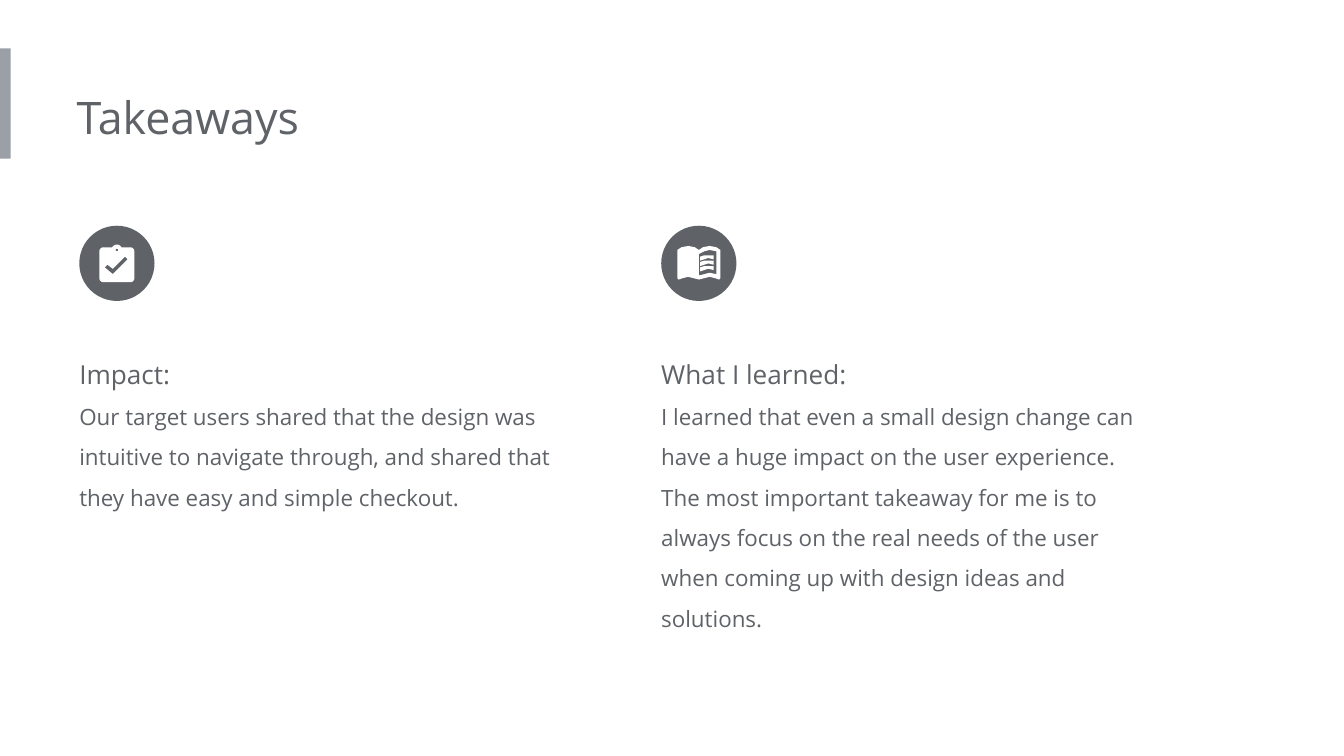
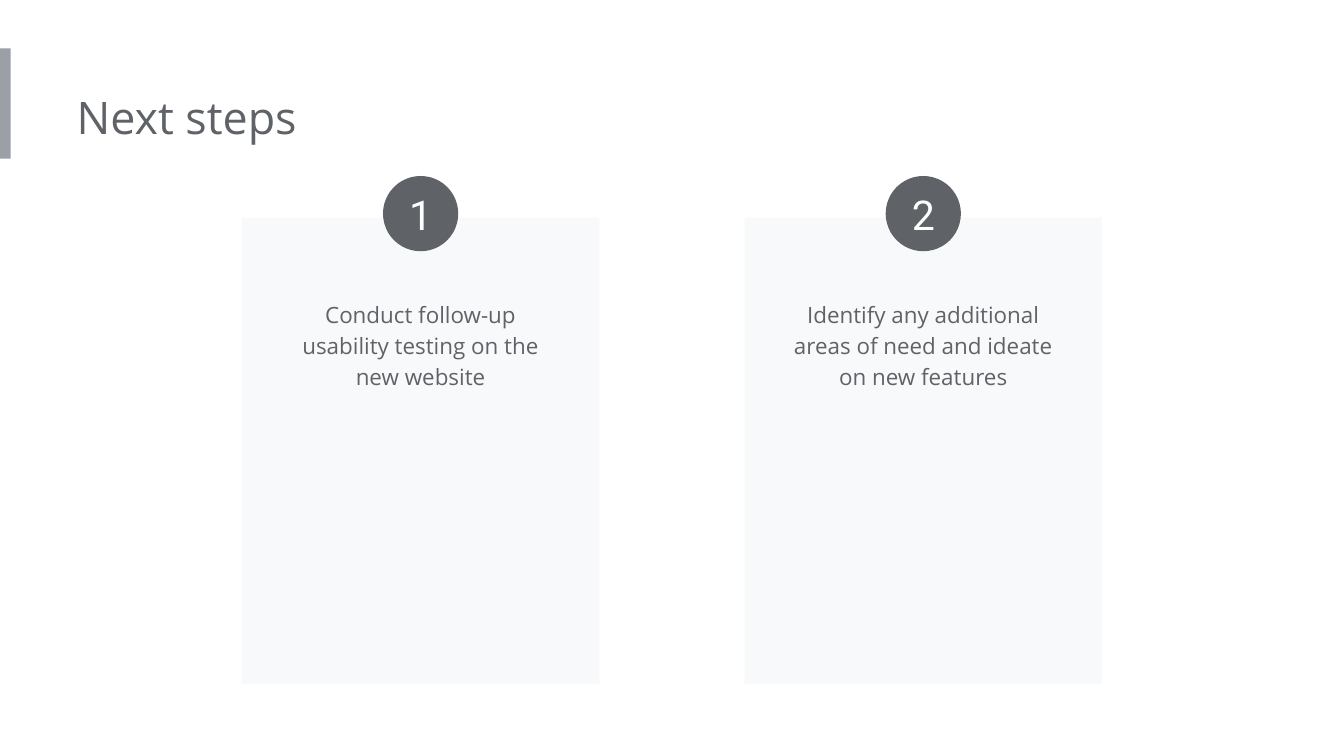
"""Build the takeaways and next steps slides."""
from dataclasses import dataclass
from math import cos, radians, sin

from pptx import Presentation
from pptx.dml.color import RGBColor
from pptx.enum.shapes import MSO_SHAPE
from pptx.enum.text import MSO_ANCHOR, MSO_AUTO_SIZE as AutoSize, PP_ALIGN
from pptx.shapes.autoshape import Shape
from pptx.shapes.shapetree import GroupShapes
from pptx.slide import Slide
from pptx.text.text import TextFrame, _Paragraph as Paragraph
from pptx.util import Inches, Pt

DARK_GRAY = RGBColor(0x5F, 0x63, 0x68)
BAR_GRAY = RGBColor(0x9A, 0xA0, 0xA6)
CARD_GRAY = RGBColor(0xF8, 0xF9, 0xFA)
WHITE = RGBColor(0xFF, 0xFF, 0xFF)
TEXT_FONT = "Open Sans"
NUMBER_FONT = "Roboto"
TITLE_ONLY = 5
SLIDE_WIDTH = Inches(10)
SLIDE_HEIGHT = SLIDE_WIDTH * 9 // 16
INSET = 0.1
CIRCLE_SIZE = 0.56

COLUMN_LEFT, COLUMN_PITCH, COLUMN_WIDTH = 0.59, 4.33, 3.77
ICON_TOP, COLUMN_TOP = 1.68, 2.45
CARD_LEFT, CARD_PITCH, CARD_WIDTH = 1.8, 3.74, 2.66
CARD_TOP, CARD_HEIGHT, CARD_TEXT_WIDTH = 1.62, 3.47, 2.24
NUMBER_TOP, CARD_TEXT_TOP = 1.31, 2.11

Point = tuple[float, float]
Contour = list[Point]


@dataclass(frozen=True)
class Takeaway:
    """A heading with its text and the height of their box."""
    heading: str
    body: str
    height: float


TAKEAWAYS = [
    Takeaway("Impact:", "Our target users shared that the design was intuitive to navigate "
             "through, and shared that they have easy and simple checkout.", 1.46),
    Takeaway("What I learned:", "I learned that even a small design change can have a huge impact "
             "on the user experience. The most important takeaway for me is to always focus on the "
             "real needs of the user when coming up with design ideas and solutions.", 2.27),
]
NEXT_STEPS = [
    "Conduct follow-up usability testing on the new website",
    "Identify any additional areas of need and ideate on new features",
]

BOOK_COVER = [
    (5.04, 1.86), (5.07, 1.84), (5.12, 1.83), (5.17, 1.84), (5.2, 1.86), (5.23, 1.84),
    (5.28, 1.83), (5.33, 1.84), (5.36, 1.86), (5.36, 2.07), (5.35, 2.08), (5.32, 2.07),
    (5.28, 2.06), (5.24, 2.07), (5.2, 2.08), (5.16, 2.07), (5.12, 2.06), (5.08, 2.07),
    (5.05, 2.08), (5.04, 2.07),
]
BOOK_PAGE = [
    (5.2, 1.89), (5.24, 1.87), (5.28, 1.86), (5.33, 1.87),
    (5.33, 2.04), (5.28, 2.03), (5.24, 2.04), (5.2, 2.05),
]
BOOK_LINE = [
    (5.21, 0.01), (5.24, 0), (5.31, 0), (5.31, 0.03), (5.27, 0.02), (5.21, 0.04),
]
BOOK_LINE_TOPS = [1.9, 1.94, 1.98]
CHECK_MARK = [(0.84, 2.04), (0.78, 1.99), (0.8, 1.97), (0.84, 2), (0.93, 1.91), (0.95, 1.93)]


def arc(x: float, y: float, radius: float, start: int, end: int) -> Contour:
    """Return points along a clockwise arc, with angles in degrees."""
    angles = [radians(start + (end - start) * step / 8) for step in range(9)]
    return [(x + radius * cos(angle), y + radius * sin(angle)) for angle in angles]


def add_outline(shapes: GroupShapes, contours: list[Contour]) -> None:
    """Draw white closed contours as one freeform, with inner ones as holes."""
    builder = None
    for contour in contours:
        points = [(Inches(x), Inches(y)) for x, y in contour]
        if builder is None:
            builder = shapes.build_freeform(*points[0])
        else:
            builder.move_to(*points[0])
        builder.add_line_segments(points[1:], close=True)
    paint(builder.convert_to_shape(), WHITE)


def paint(shape: Shape, color: RGBColor) -> None:
    """Give a shape a flat fill without line or shadow."""
    shape.shadow.inherit = False
    shape.fill.solid()
    shape.fill.fore_color.rgb = color
    shape.line.fill.background()


def add_block(slide: Slide, kind: MSO_SHAPE, left: float, top: float,
              width: float, height: float, color: RGBColor) -> Shape:
    """Add a flat preset shape."""
    shape = slide.shapes.add_shape(kind, Inches(left), Inches(top), Inches(width), Inches(height))
    paint(shape, color)
    return shape


def add_circle(slide: Slide, left: float, top: float) -> Shape:
    """Add a dark circle for an icon or a number."""
    return add_block(slide, MSO_SHAPE.OVAL, left, top, CIRCLE_SIZE, CIRCLE_SIZE, DARK_GRAY)


def set_frame(frame: TextFrame, left_inset: float, inset: float = INSET) -> None:
    """Set wrapping and insets of a text frame."""
    frame.word_wrap = True
    frame.margin_left = Inches(left_inset)
    frame.margin_top = frame.margin_right = frame.margin_bottom = Inches(inset)


def write(paragraph: Paragraph, text: str, size: int, spacing: float = 1.0,
          align: PP_ALIGN = PP_ALIGN.LEFT, font: str = TEXT_FONT,
          color: RGBColor = DARK_GRAY) -> None:
    """Fill and format one paragraph."""
    paragraph.text = text
    paragraph.alignment = align
    paragraph.line_spacing = spacing
    paragraph.font.size = Pt(size)
    paragraph.font.name = font
    paragraph.font.color.rgb = color


def add_text_frame(slide: Slide, left: float, top: float, width: float, height: float,
                   left_inset: float) -> TextFrame:
    """Add a text box that grows with its text and return its frame."""
    box = slide.shapes.add_textbox(Inches(left), Inches(top), Inches(width), Inches(height))
    set_frame(box.text_frame, left_inset)
    box.text_frame.auto_size = AutoSize.SHAPE_TO_FIT_TEXT
    return box.text_frame


def add_titled_slide(presentation: Presentation, text: str) -> Slide:
    """Add a slide with the side bar and a title."""
    slide = presentation.slides.add_slide(presentation.slide_layouts[TITLE_ONLY])
    add_block(slide, MSO_SHAPE.RECTANGLE, 0, 0.36, 0.08, 0.82, BAR_GRAY)
    title = slide.shapes.title
    title.left, title.top = Inches(0.57), Inches(0.57)
    title.width, title.height = Inches(5.39), Inches(0.61)
    set_frame(title.text_frame, 0)
    title.text_frame.auto_size = AutoSize.SHAPE_TO_FIT_TEXT
    title.text_frame.vertical_anchor = MSO_ANCHOR.TOP
    write(title.text_frame.paragraphs[0], text, 24)
    return slide


def add_clipboard(slide: Slide) -> None:
    """Draw the clipboard with a check mark."""
    body = (arc(0.87, 1.86, 0.04, 210, 330) + arc(0.97, 1.87, 0.03, 270, 360)
            + arc(0.97, 2.07, 0.03, 0, 90) + arc(0.77, 2.07, 0.03, 90, 180)
            + arc(0.77, 1.87, 0.03, 180, 270))
    add_outline(slide.shapes, [body, arc(0.87, 1.86, 0.01, 0, 360), CHECK_MARK])


def add_book(slide: Slide) -> None:
    """Draw the open book with its lines of text."""
    book = slide.shapes.add_group_shape()
    add_outline(book.shapes, [BOOK_COVER, BOOK_PAGE])
    for top in BOOK_LINE_TOPS:
        add_outline(book.shapes, [[(x, top + y) for x, y in BOOK_LINE]])


def add_takeaways(presentation: Presentation) -> None:
    """Build the slide with two takeaways under icons."""
    slide = add_titled_slide(presentation, "Takeaways")
    for index, takeaway in enumerate(TAKEAWAYS):
        left = COLUMN_LEFT + index * COLUMN_PITCH
        frame = add_text_frame(slide, left, COLUMN_TOP, COLUMN_WIDTH, takeaway.height, 0)
        write(frame.paragraphs[0], takeaway.heading, 14, 1.5)
        write(frame.add_paragraph(), takeaway.body, 12, 1.5)
        add_circle(slide, left, ICON_TOP)
    add_clipboard(slide)
    add_book(slide)


def add_next_steps(presentation: Presentation) -> None:
    """Build the slide with numbered cards."""
    slide = add_titled_slide(presentation, "Next steps")
    for index, step in enumerate(NEXT_STEPS):
        left = CARD_LEFT + index * CARD_PITCH
        center = left + CARD_WIDTH / 2
        add_block(slide, MSO_SHAPE.RECTANGLE, left, CARD_TOP, CARD_WIDTH, CARD_HEIGHT, CARD_GRAY)
        frame = add_text_frame(slide, center - CARD_TEXT_WIDTH / 2, CARD_TEXT_TOP,
                               CARD_TEXT_WIDTH, 0.87, INSET)
        write(frame.paragraphs[0], step, 12, 1.15, PP_ALIGN.CENTER)
        number = add_circle(slide, center - CIRCLE_SIZE / 2, NUMBER_TOP).text_frame
        set_frame(number, 0, 0)
        number.vertical_anchor = MSO_ANCHOR.MIDDLE
        write(number.paragraphs[0], str(index + 1), 22, 1.0, PP_ALIGN.CENTER, NUMBER_FONT, WHITE)


def main() -> None:
    """Create and save the presentation."""
    presentation = Presentation()
    presentation.slide_width = SLIDE_WIDTH
    presentation.slide_height = SLIDE_HEIGHT
    add_takeaways(presentation)
    add_next_steps(presentation)
    presentation.save("out.pptx")


if __name__ == "__main__":
    main()
